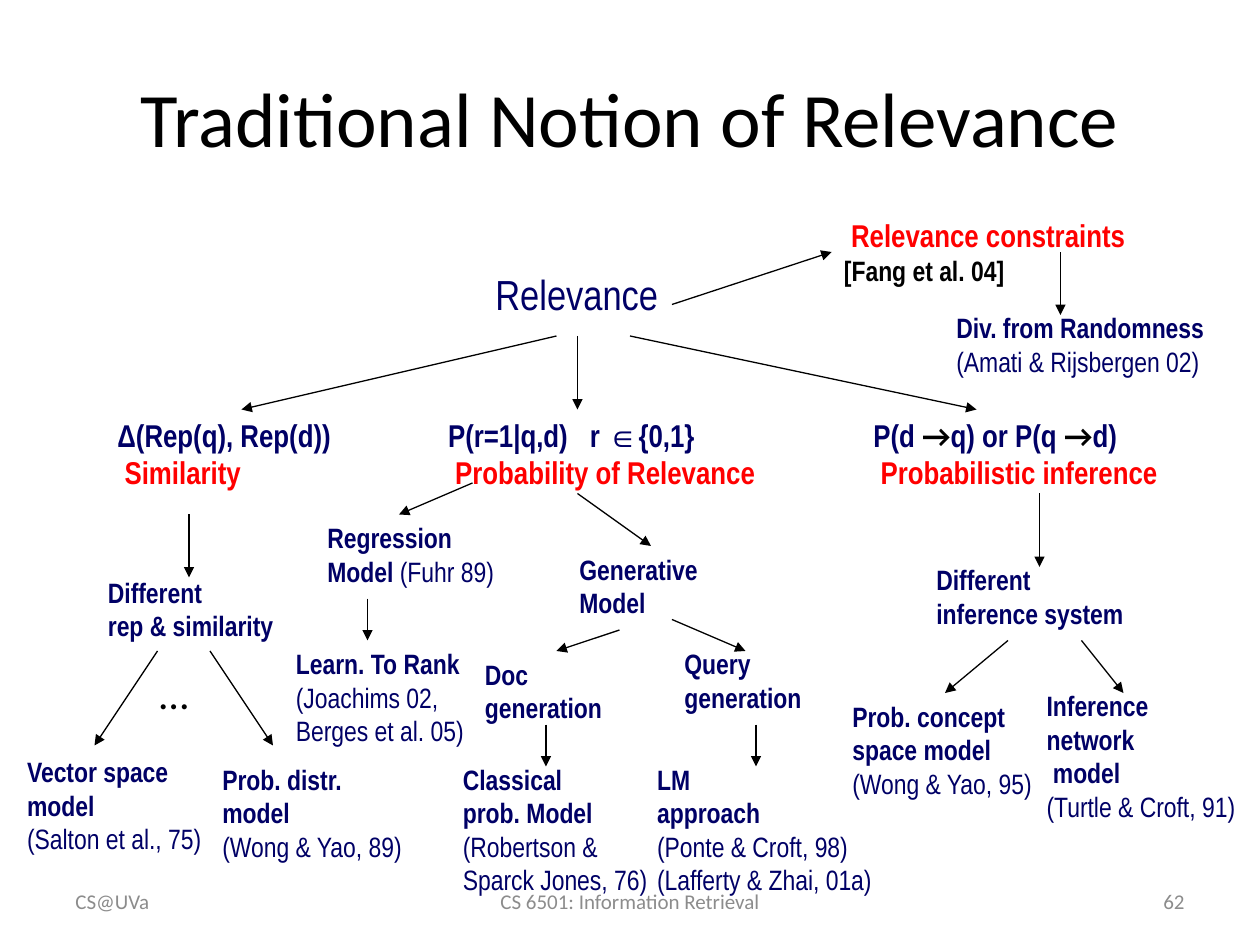
from lxml import etree
from pptx import Presentation
from pptx import util as u
from pptx.dml.color import RGBColor
from pptx.enum import shapes, text
from pptx.oxml.ns import qn

COLS, ROWS = 120, 90
NARROW, SANS = "Arial Narrow", "Calibri"
NAVY, RED, BLACK, GREY = "000066", "FF0000", "000000", "8C8C8C"
LEFT, CENTER, RIGHT = text.PP_ALIGN.LEFT, text.PP_ALIGN.CENTER, text.PP_ALIGN.RIGHT


def rgb(hex_color):
    return RGBColor.from_string(hex_color)


def run(content, size=16, color=NAVY, bold=False, font=NARROW):
    return content, size, color, bold, font


class Diagram:
    """Draws on one slide; lengths are columns and rows of the grid."""

    def __init__(self, prs):
        self.s = prs.slides.add_slide(prs.slide_layouts[6])
        self.col = prs.slide_width / COLS
        self.row = prs.slide_height / ROWS

    def at(self, x, y):
        return round(x * self.col), round(y * self.row)

    def text(self, box, paragraphs, align=LEFT, wrap=False, anchor=text.MSO_ANCHOR.TOP, tab=None):
        """Each paragraph is a list of runs; tab is the column of a tab stop."""
        sp = self.s.shapes.add_textbox(*self.at(*box[:2]), *self.at(*box[2:]))
        tf = sp.text_frame
        tf.word_wrap = wrap
        tf.vertical_anchor = anchor
        for i, runs in enumerate(paragraphs):
            p = tf.paragraphs[0] if i == 0 else tf.add_paragraph()
            p.alignment = align
            if tab:
                stops = etree.SubElement(p._p.get_or_add_pPr(), qn("a:tabLst"))
                etree.SubElement(stops, qn("a:tab"), pos=str(round(tab * self.col)), algn="l")
            for content, size, color, bold, font in runs:
                r = p.add_run()
                r.text = content
                r.font.size, r.font.bold, r.font.name = u.Pt(size), bold, font
                r.font.color.rgb = rgb(color)

    def label(self, box, content, size, color, align=CENTER):
        self.text(box, [[run(content, size, color, font=SANS)]], align, True, text.MSO_ANCHOR.MIDDLE)

    def notion(self, box, formula, name, tab=None):
        """A formula with the red name of the notion below; arrows are black."""
        parts = []
        for i, part in enumerate(formula.split("→")):
            if i:
                parts.append(run("→", 18, BLACK, True, SANS))
            parts.append(run(part, 18, bold=True))
        self.text(box, [parts, [run(" " + name, 18, RED, True)]], tab=tab)

    def model(self, x, y, w, *lines):
        """In each line, what follows a bar is a citation in regular weight."""
        paragraphs = []
        for line in lines:
            name, _, cite = line.partition("|")
            paragraphs.append([run(t, bold=b) for t, b in ((name, True), (cite, False)) if t])
        self.text((x, y, w, 1.2 + 3.2 * len(lines)), paragraphs)

    def arrow(self, x1, y1, x2, y2):
        c = self.s.shapes.add_connector(shapes.MSO_CONNECTOR.STRAIGHT, *self.at(x1, y1), *self.at(x2, y2))
        c.line.color.rgb = rgb(BLACK)
        c.line.width = u.Pt(0.75)
        etree.SubElement(c.line._get_or_add_ln(), qn("a:tailEnd"), type="triangle")
        etree.SubElement(c._element.spPr, qn("a:effectLst"))


MODELS = [
    (9.1, 54.2, 18.7, "Different", "rep & similarity"),
    (1.4, 71.3, 19, "Vector space", "model", "|(Salton et al., 75)"),
    (20, 72, 19.7, "Prob. distr.", "model", "|(Wong & Yao, 89)"),
    (30, 49, 18.5, "Regression", "Model |(Fuhr 89)"),
    (27, 61, 18.6, "Learn. To Rank", "|(Joachims 02,", "|Berges et al. 05)"),
    (54, 52, 13.7, "Generative", "Model"),
    (45, 62, 13.6, "Doc", "generation"),
    (64, 61, 13.6, "Query", "generation"),
    (42.9, 72, 20, "Classical", "prob. Model", "|(Robertson &", "|Sparck Jones, 76)"),
    (61.4, 72, 22.9, "LM", "approach", "|(Ponte & Croft, 98)", "|(Lafferty & Zhai, 01a)"),
    (88, 53, 20.2, "Different", "inference system"),
    (80, 66, 19.7, "Prob. concept", "space model", "|(Wong & Yao, 95)"),
    (98.5, 65, 20.4, "Inference", "network", " model", "|(Turtle & Croft, 91)"),
    (89.9, 29, 26.3, "Div. from Randomness", "|(Amati & Rijsbergen 02)"),
]

ARROWS = [
    # from Relevance to the notions
    (53, 32, 23, 39), (55, 32, 55, 39), (60, 32, 93, 39), (64, 29, 79.2, 24), (101, 24, 101, 30),
    # similarity
    (18, 49, 18, 55), (15, 62, 9, 71), (20, 62, 26, 71),
    # probability of relevance
    (45, 46, 38, 49), (55, 47, 62, 52), (35, 57, 35, 61), (59, 60, 53, 62), (64, 59, 71, 62),
    (52, 69, 52, 73), (72, 69, 72, 73),
    # probabilistic inference
    (99, 47, 99, 54), (96, 61, 90, 66), (103, 61, 107, 66),
]


def main():
    prs = Presentation()
    prs.slide_width, prs.slide_height = u.Inches(10), u.Inches(7.5)
    d = Diagram(prs)
    d.label((6, 3.6, 108, 15), "Traditional Notion of Relevance", 44, BLACK)

    d.text((46, 25, 18, 6), [[run("Relevance", 24)]])
    d.notion((10, 39, 25.6, 8.4), "Δ(Rep(q), Rep(d))", "Similarity")
    d.notion((41.5, 39, 31.7, 8.4), "P(r=1|q,d)\tr ∈{0,1}", "Probability of Relevance", tab=13.5)
    d.notion((82, 39, 29.5, 8.4), "P(d →q) or P(q →d)", "Probabilistic inference")
    d.text((79.2, 20, 29.5, 8), [[run(" Relevance constraints", 18, RED, True)],
                                 [run("[Fang et al. 04]", 16, BLACK, True)]])
    d.text((14, 63, 6.4, 6), [[run("…", 24, BLACK, font=SANS)]])

    for node in MODELS:
        d.model(*node)
    for ends in ARROWS:
        d.arrow(*ends)

    d.label((6, 83.4, 28, 4.8), "CS@UVa", 12, GREY, LEFT)
    d.label((41, 83.4, 38, 4.8), "CS 6501: Information Retrieval", 12, GREY)
    d.label((86, 83.4, 28, 4.8), "62", 12, GREY, RIGHT)
    prs.save("out.pptx")


if __name__ == "__main__":
    main()
